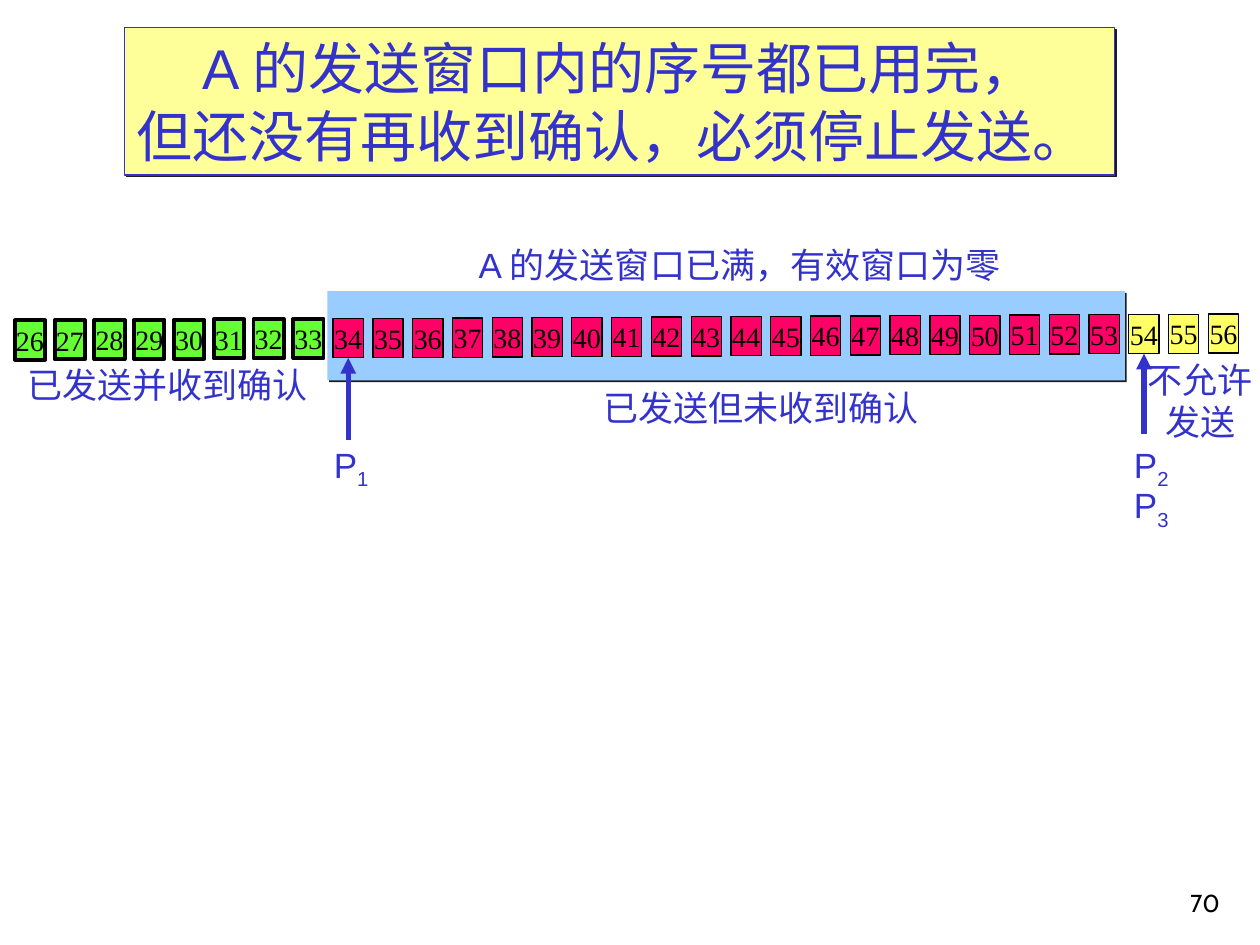
from dataclasses import dataclass
from typing import Optional

import pptx
import pptx.dml.color
import pptx.enum.shapes
import pptx.enum.text
import pptx.oxml
import pptx.oxml.ns
import pptx.util
from pptx.dml.color import RGBColor
from pptx.enum.text import MSO_ANCHOR, MSO_AUTO_SIZE, PP_ALIGN
from pptx.util import Cm, Pt

BLACK = RGBColor(0x00, 0x00, 0x00)
WHITE = RGBColor(0xFF, 0xFF, 0xFF)
BLUE = RGBColor(0x33, 0x33, 0xCC)
GREEN = RGBColor(0x66, 0xFF, 0x33)
PINK = RGBColor(0xFF, 0x00, 0x66)
YELLOW = RGBColor(0xFF, 0xFF, 0x66)
PALE_YELLOW = RGBColor(0xFF, 0xFF, 0x99)
WINDOW_BLUE = RGBColor(0x99, 0xCC, 0xFF)

FIRST_NUMBER, LAST_NUMBER = 26, 56
ROW_LEFT, ROW_RIGHT = 0.3, 24.36  # left edges of the first and last cell
ROW_TOP, ROW_END_TOP = 6.46, 6.33  # the row rises slightly to the right
CELL_WIDTH, CELL_HEIGHT = 0.61, 0.79


@dataclass
class Box:
    left: float
    top: float
    width: float
    height: float


@dataclass
class Label:
    box: Box
    lines: list[str]
    align: PP_ALIGN = PP_ALIGN.CENTER
    subscript: str = ""
    fill: Optional[RGBColor] = None
    size: int = 20


@dataclass
class CellGroup:
    first: int
    last: int
    fill: RGBColor
    border: float


@dataclass
class Pointer:
    number: int
    bottom: float


BACK_LABELS = [
    Label(Box(22.84, 7.11, 2.72, 1.96), ["不允许", "发送"]),
    Label(Box(0.25, 7.21, 6.25, 1.12), ["已发送并收到确认"], fill=WHITE),
    Label(Box(9.4, 4.78, 11.33, 1.12), ["A 的发送窗口已满，有效窗口为零"],
          PP_ALIGN.LEFT, fill=WHITE),
]
FRONT_LABELS = [
    Label(Box(11.91, 7.67, 6.96, 1.12), ["已发送但未收到确认"], PP_ALIGN.LEFT),
    Label(Box(6.43, 8.81, 1.3, 1.22), ["P"], subscript="1"),
    Label(Box(22.56, 8.81, 1.3, 1.22), ["P"], subscript="2"),
    Label(Box(22.56, 9.63, 1.3, 1.22), ["P"], subscript="3"),
]
TITLE = Label(Box(2.51, 0.56, 19.96, 2.97),
              ["A 的发送窗口内的序号都已用完，", "但还没有再收到确认，必须停止发送。 "],
              fill=PALE_YELLOW, size=32)
CELL_GROUPS = [
    CellGroup(26, 33, GREEN, 2.25),
    CellGroup(34, 53, PINK, 0.75),
    CellGroup(54, 56, YELLOW, 0.75),
]
POINTERS = [Pointer(34, 8.86), Pointer(54, 8.74)]


def lengths(box: Box) -> tuple:
    return Cm(box.left), Cm(box.top), Cm(box.width), Cm(box.height)


def add_rectangle(slide, box: Box, fill: RGBColor,
                  line: Optional[RGBColor] = None, border: float = 0.75):
    shape = slide.shapes.add_shape(
        pptx.enum.shapes.MSO_SHAPE.RECTANGLE, *lengths(box))
    shape.shadow.inherit = False
    shape.fill.solid()
    shape.fill.fore_color.rgb = fill
    if line is None:
        shape.line.fill.background()
    else:
        shape.line.color.rgb = line
        shape.line.width = Pt(border)
    return shape


def add_hard_shadow(shape) -> None:
    effects = shape._element.spPr.find(pptx.oxml.ns.qn("a:effectLst"))
    effects.append(pptx.oxml.parse_xml(
        f'<a:outerShdw {pptx.oxml.ns.nsdecls("a")} blurRad="0" dist="17780" '
        'dir="2700000" algn="ctr" rotWithShape="0">'
        '<a:srgbClr val="1C1C1C"/></a:outerShdw>'))


def add_run(paragraph, text: str, size: int, font: str, color: RGBColor):
    run = paragraph.add_run()
    run.text = text
    run.font.size = Pt(size)
    run.font.name = font
    run.font.color.rgb = color
    return run


def add_label(slide, label: Label, line: Optional[RGBColor] = None):
    if label.fill is None:
        shape = slide.shapes.add_textbox(*lengths(label.box))
    else:
        shape = add_rectangle(slide, label.box, label.fill, line)
    frame = shape.text_frame
    frame.word_wrap = False
    frame.auto_size = MSO_AUTO_SIZE.NONE
    frame.vertical_anchor = MSO_ANCHOR.TOP
    for index, text in enumerate(label.lines):
        paragraph = frame.add_paragraph() if index else frame.paragraphs[0]
        paragraph.alignment = label.align
        add_run(paragraph, text, label.size, "Arial", BLUE)
    if label.subscript:
        run = add_run(paragraph, label.subscript, label.size, "Arial", BLUE)
        run._r.get_or_add_rPr().set("baseline", "-25000")
    return shape


def add_cell(slide, number: int, group: CellGroup):
    share = (number - FIRST_NUMBER) / (LAST_NUMBER - FIRST_NUMBER)
    box = Box(ROW_LEFT + share * (ROW_RIGHT - ROW_LEFT),
              ROW_TOP + share * (ROW_END_TOP - ROW_TOP),
              CELL_WIDTH, CELL_HEIGHT)
    cell = add_rectangle(slide, box, group.fill, BLACK, group.border)
    frame = cell.text_frame
    frame.word_wrap = False
    frame.vertical_anchor = MSO_ANCHOR.MIDDLE
    paragraph = frame.paragraphs[0]
    paragraph.alignment = PP_ALIGN.CENTER
    add_run(paragraph, str(number), 16, "Times New Roman", BLACK)
    return cell


def add_pointer(slide, cell, bottom: float) -> None:
    center = cell.left + cell.width // 2
    arrow = slide.shapes.add_connector(
        pptx.enum.shapes.MSO_CONNECTOR.STRAIGHT,
        center, Cm(bottom), center, cell.top + cell.height)
    arrow.end_connect(cell, 2)
    arrow.line.color.rgb = BLUE
    arrow.line.width = Pt(3)
    namespace = pptx.oxml.ns.nsdecls("a")
    arrow.line._get_or_add_ln().append(
        pptx.oxml.parse_xml(f'<a:tailEnd {namespace} type="triangle"/>'))
    arrow._element.spPr.append(pptx.oxml.parse_xml(f"<a:effectLst {namespace}/>"))


def add_page_number(slide) -> None:
    shape = slide.shapes.add_textbox(*lengths(Box(19.56, 17.35, 5.28, 1.27)))
    frame = shape.text_frame
    frame.word_wrap = True
    frame.vertical_anchor = MSO_ANCHOR.BOTTOM
    frame.paragraphs[0].alignment = PP_ALIGN.RIGHT
    add_run(frame.paragraphs[0], "70", 14, "Cabin", BLACK)


def main() -> None:
    presentation = pptx.Presentation()
    presentation.slide_width, presentation.slide_height = Cm(25.4), Cm(19.05)
    slide = presentation.slides.add_slide(presentation.slide_layouts[6])

    # Labels behind the row, then the send window
    for label in BACK_LABELS:
        add_label(slide, label)
    add_hard_shadow(add_rectangle(slide, Box(6.6, 5.87, 16.08, 1.8), WINDOW_BLUE))

    # Sequence numbers
    cells = {number: add_cell(slide, number, group)
             for group in CELL_GROUPS
             for number in range(group.first, group.last + 1)}

    # Pointers and their labels
    for label in FRONT_LABELS:
        add_label(slide, label)
    for pointer in POINTERS:
        add_pointer(slide, cells[pointer.number], pointer.bottom)

    # Title and page number
    add_hard_shadow(add_label(slide, TITLE, BLUE))
    add_page_number(slide)
    presentation.save("out.pptx")


if __name__ == "__main__":
    main()
